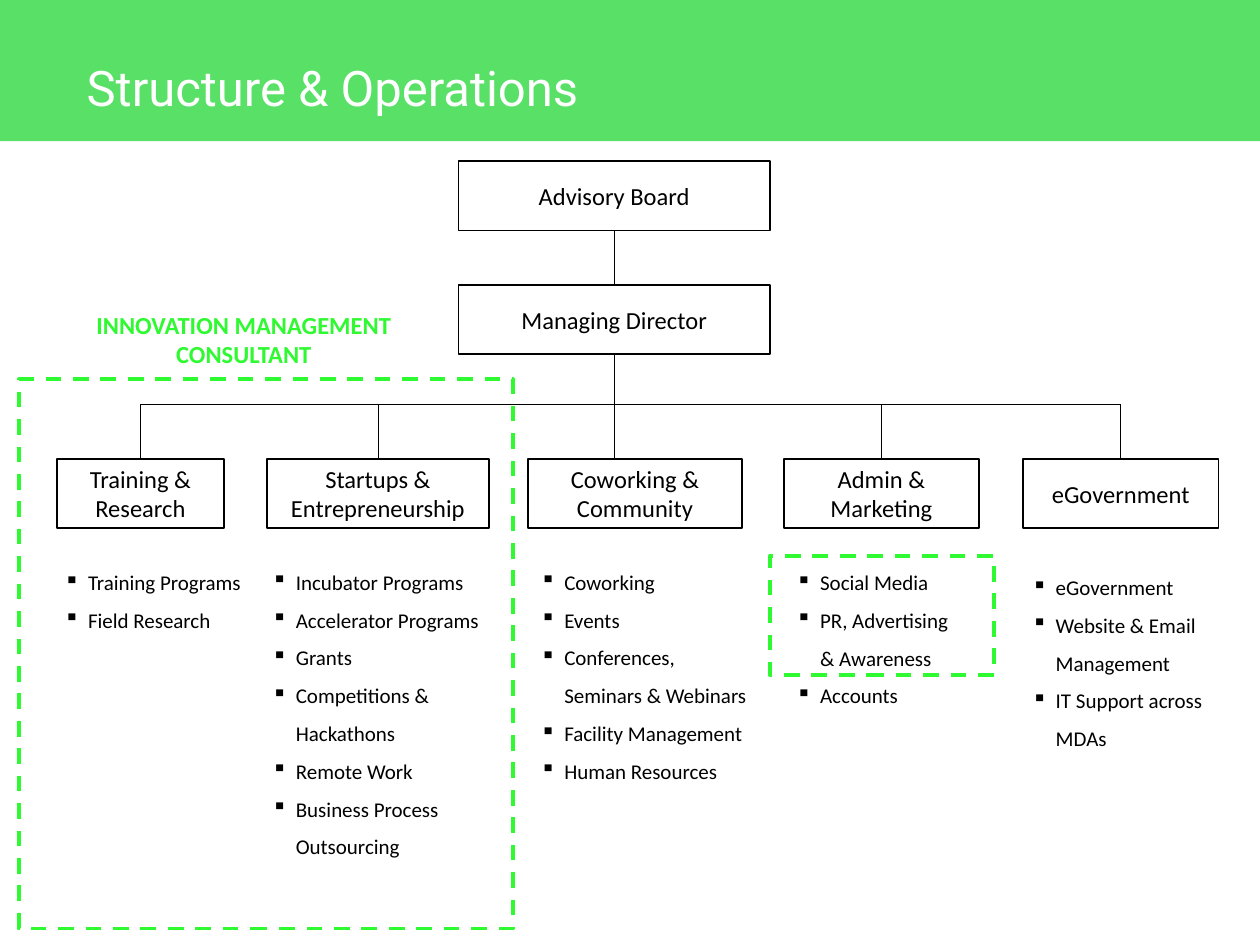
"""Build the Structure & Operations organisation chart slide."""
from lxml import etree
from pptx import Presentation
from pptx.dml.color import RGBColor
from pptx.enum.dml import MSO_LINE
from pptx.enum.shapes import MSO_CONNECTOR, MSO_SHAPE
from pptx.enum.text import MSO_ANCHOR, PP_ALIGN
from pptx.oxml.ns import qn
from pptx.util import Inches, Pt

RECT = MSO_SHAPE.RECTANGLE
STRAIGHT = MSO_CONNECTOR.STRAIGHT
DASH = MSO_LINE.DASH
TOP, MIDDLE = MSO_ANCHOR.TOP, MSO_ANCHOR.MIDDLE
LEFT, CENTER = PP_ALIGN.LEFT, PP_ALIGN.CENTER

BLACK, WHITE, HEADER, ACCENT = "000000", "FFFFFF", "58E166", "2FF931"
BOX_H, RAIL_Y, DEPT_Y = 0.55, 3.21, 3.64
TRUNK_X = 3.64 + 2.47 / 2

prs = Presentation()
prs.slide_width, prs.slide_height = Inches(10), Inches(7.5)
s = prs.slides.add_slide(prs.slide_layouts[6])
rgb = RGBColor.from_string


def add_box(text, x, y, w, h, fill=None, line=None, width=1, dash=None, size=14,
            font="Calibri", color=BLACK, bold=False, align=CENTER, anchor=MIDDLE,
            bullet=None, spacing=None):
    sp = s.shapes.add_shape(RECT, Inches(x), Inches(y), Inches(w), Inches(h))
    sp.shadow.inherit = False
    if fill:
        sp.fill.solid()
        sp.fill.fore_color.rgb = rgb(fill)
    else:
        sp.fill.background()
    if line:
        sp.line.color.rgb = rgb(line)
        sp.line.width = Pt(width)
        sp.line.dash_style = dash
    else:
        sp.line.fill.background()
    tf = sp.text_frame
    tf.word_wrap = True
    tf.vertical_anchor = anchor
    for i, part in enumerate(text.split("\n") if text else []):
        p = tf.add_paragraph() if i else tf.paragraphs[0]
        if bullet:
            pPr = p._p.get_or_add_pPr()
            pPr.set("marL", str(Inches(0.19)))
            pPr.set("indent", str(Inches(-0.19)))
            etree.SubElement(pPr, qn("a:buChar")).set("char", bullet)
        p.alignment = align
        p.line_spacing = spacing
        r = p.add_run()
        r.text = part
        r.font.name, r.font.size, r.font.bold = font, Pt(size), bold
        r.font.color.rgb = rgb(color)
    return sp


def add_line(x1, y1, x2, y2, start=None, end=None):
    cn = s.shapes.add_connector(STRAIGHT, Inches(x1), Inches(y1), Inches(x2), Inches(y2))
    cn.line.color.rgb = rgb(BLACK)
    cn.line.width = Pt(0.5)
    etree.SubElement(cn._element.spPr, qn("a:effectLst"))
    if start:
        cn.begin_connect(start, 2)
    if end:
        cn.end_connect(end, 0)


add_box("", 0, 0, 10, 1.12, fill=HEADER)
add_box("Structure & Operations", 0.59, 0.41, 5.3, 0.57, size=28, font="Roboto",
        color=WHITE, align=LEFT, anchor=TOP)

outline = {"fill": WHITE, "line": BLACK}
director = add_box("Managing Director", 3.64, 2.26, 2.47, BOX_H, **outline)
board = add_box("Advisory Board", 3.64, 1.28, 2.47, BOX_H, **outline)
add_line(TRUNK_X, 1.83, TRUNK_X, 2.26, board, director)
add_line(TRUNK_X, 2.81, TRUNK_X, RAIL_Y, director)

# name, box left and width, list left, top, width and height, items
departments = [
    ("Training & Research", 0.45, 1.33, (0.41, 4.37, 1.61, 0.98),
     ["Training Programs", "Field Research"]),
    ("Startups & Entrepreneurship", 2.12, 1.76, (2.06, 4.37, 1.87, 2.8),
     ["Incubator Programs", "Accelerator Programs", "Grants",
      "Competitions & Hackathons", "Remote Work", "Business Process Outsourcing"]),
    ("Coworking & Community", 4.19, 1.7, (4.19, 4.37, 1.87, 2.5),
     ["Coworking", "Events", "Conferences, Seminars & Webinars",
      "Facility Management", "Human Resources"]),
    ("Admin & Marketing", 6.22, 1.55, (6.22, 4.37, 1.55, 1.29),
     ["Social Media", "PR, Advertising & Awareness", "Accounts"]),
    ("eGovernment", 8.12, 1.55, (8.09, 4.41, 1.58, 1.89),
     ["eGovernment", "Website & Email Management", "IT Support across MDAs"]),
]
centers = [left + width / 2 for _, left, width, _, _ in departments]
add_line(centers[0], RAIL_Y, centers[-1], RAIL_Y)
for i, (name, left, width, area, items) in enumerate(departments):
    box = add_box(name, left, DEPT_Y, width, BOX_H, **outline)
    add_box("\n".join(items), *area, size=12, align=LEFT, anchor=TOP,
            bullet="▪", spacing=1.5)
    if i == 2:
        add_line(TRUNK_X, RAIL_Y, TRUNK_X, DEPT_Y)
    else:
        add_line(centers[i], RAIL_Y, centers[i], DEPT_Y, end=box)

dashed = {"line": ACCENT, "width": 2.25, "dash": DASH}
add_box("", 0.15, 3.01, 3.92, 4.36, **dashed)
add_box("INNOVATION MANAGEMENT CONSULTANT", 0.39, 2.41, 3.09, 0.57,
        color=ACCENT, bold=True, anchor=TOP)
add_box("", 6.11, 4.41, 1.78, 0.95, **dashed)

prs.save("out.pptx")
